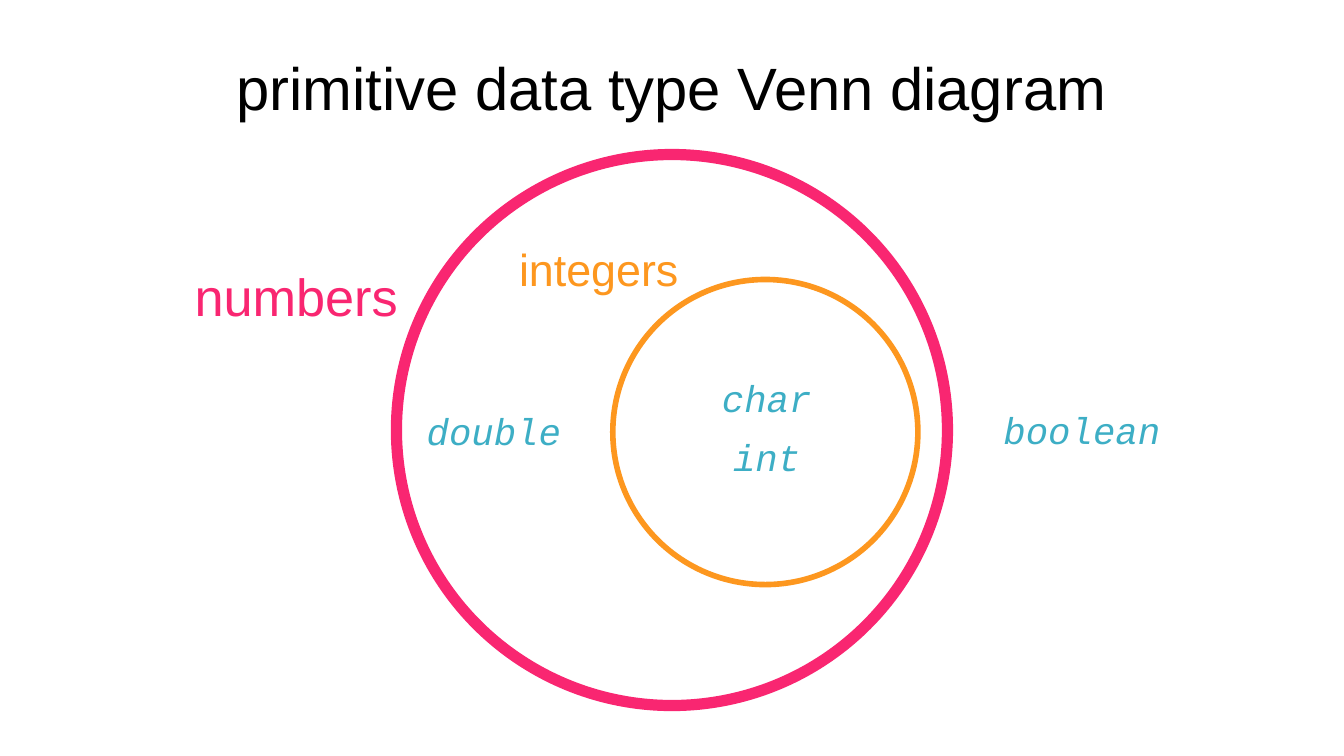
from dataclasses import dataclass

import pptx
import pptx.dml.color
import pptx.enum.shapes
import pptx.enum.text
import pptx.util

Inches = pptx.util.Inches
Pt = pptx.util.Pt
RGBColor = pptx.dml.color.RGBColor
Align = pptx.enum.text.PP_ALIGN
Anchor = pptx.enum.text.MSO_ANCHOR


@dataclass(frozen=True)
class Theme:
    title: RGBColor = RGBColor.from_string("000000")
    numbers: RGBColor = RGBColor.from_string("F92671")
    integers: RGBColor = RGBColor.from_string("FD971F")
    code: RGBColor = RGBColor.from_string("3DAEC5")
    title_size: Pt = Pt(32)
    numbers_size: Pt = Pt(28)
    integers_size: Pt = Pt(24)
    code_size: Pt = Pt(20)


theme = Theme()
title_font = {"name": "Arial", "size": theme.title_size, "color": theme.title}
numbers_font = {"name": "Arial", "size": theme.numbers_size, "color": theme.numbers}
integers_font = {"name": "Arial", "size": theme.integers_size, "color": theme.integers}
code_font = {"name": "Courier New", "size": theme.code_size, "color": theme.code, "italic": True}

presentation = pptx.Presentation()
presentation.slide_width = Inches(10)
presentation.slide_height = Inches(10 * 9 / 16)
slide = presentation.slides.add_slide(presentation.slide_layouts[6])


def add_label(text, left, top, width, height, font, align=Align.CENTER, anchor=Anchor.TOP):
    shape = slide.shapes.add_textbox(Inches(left), Inches(top), Inches(width), Inches(height))
    shape.text_frame.word_wrap = True
    shape.text_frame.vertical_anchor = anchor
    paragraph = shape.text_frame.paragraphs[0]
    paragraph.alignment = align
    run = paragraph.add_run()
    run.text = text
    for name, value in font.items():
        if name == "color":
            run.font.color.rgb = value
        else:
            setattr(run.font, name, value)


add_label("primitive data type Venn diagram", 0.5, 0.28, 9, 0.73, title_font, anchor=Anchor.MIDDLE)

circles = [
    (2.95, 1.15, 4.1, theme.numbers, 6),
    (4.56, 2.08, 2.27, theme.integers, 3),
]
for left, top, diameter, color, weight in circles:
    circle = slide.shapes.add_shape(
        pptx.enum.shapes.MSO_SHAPE.OVAL,
        Inches(left), Inches(top), Inches(diameter), Inches(diameter),
    )
    circle.shadow.inherit = False
    circle.fill.background()
    circle.line.color.rgb = color
    circle.line.width = Pt(weight)

add_label("numbers", 1.35, 1.92, 1.9, 0.57, numbers_font, align=Align.LEFT)
add_label("integers", 3.72, 1.75, 1.47, 0.5, integers_font)

code_labels = [
    ("char", 5.24, 2.74, 0.93),
    ("int", 5.24, 3.18, 0.93),
    ("double", 3.05, 2.99, 1.25),
    ("boolean", 7.31, 2.98, 1.48),
]
for text, left, top, width in code_labels:
    add_label(text, left, top, width, 0.44, code_font)

presentation.save("out.pptx")
